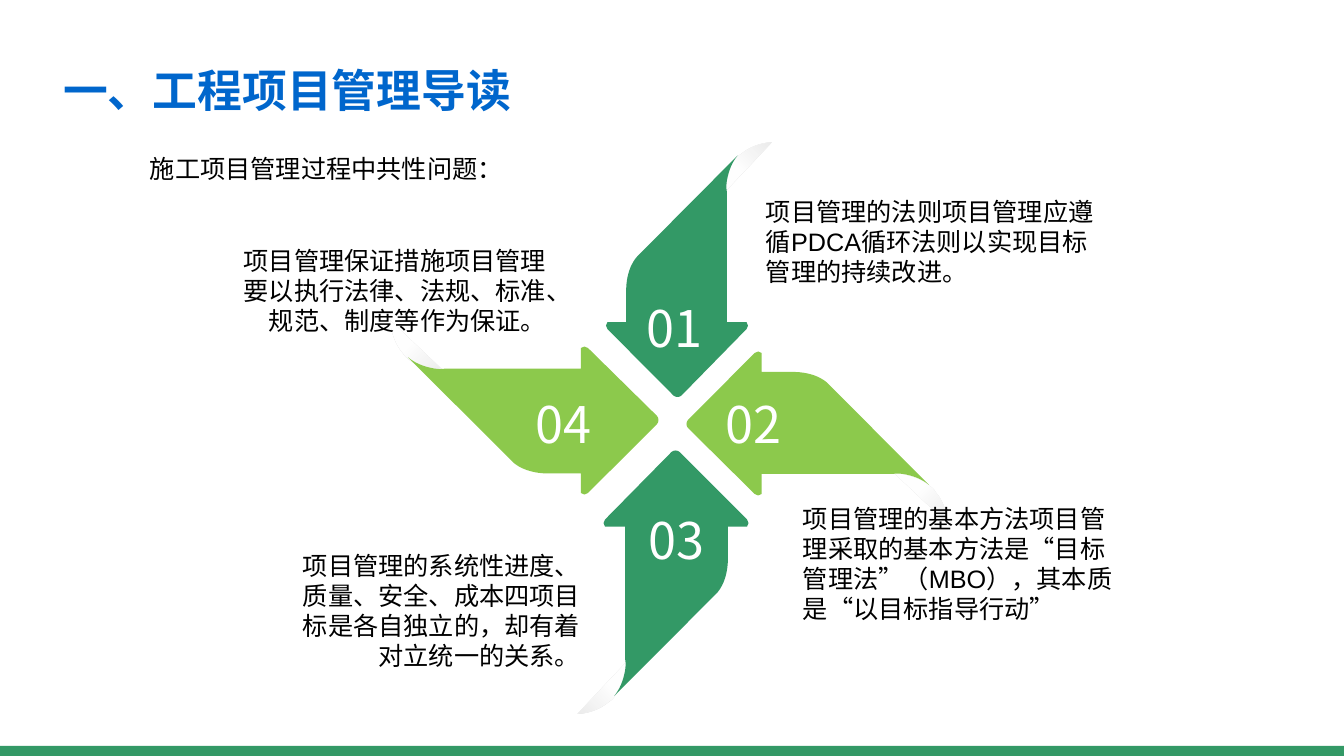
from lxml.etree import SubElement
from pptx import Presentation
from pptx.dml.color import RGBColor
from pptx.enum.shapes import MSO_SHAPE
from pptx.enum.text import MSO_ANCHOR, MSO_AUTO_SIZE, PP_ALIGN
from pptx.oxml.ns import qn
from pptx.util import Emu, Pt

PX = 914400 / 100.8
GREEN = RGBColor(0x33, 0x99, 0x66)
LIME = RGBColor(0x8C, 0xC9, 0x4C)
BLUE = RGBColor(0x00, 0x66, 0xCC)
BLACK = RGBColor(0, 0, 0)
WHITE = RGBColor(0xFF, 0xFF, 0xFF)
GREY = RGBColor(0xB0, 0xB0, 0xB0)
NOTO = "Noto Sans CJK SC"


def write(box, text, size=18, font="Arial", color=BLACK, bold=False,
          align=PP_ALIGN.LEFT, wrap=True):
    frame = box.text_frame
    frame.word_wrap = wrap
    frame.auto_size = MSO_AUTO_SIZE.SHAPE_TO_FIT_TEXT
    frame.vertical_anchor = MSO_ANCHOR.TOP
    para = frame.paragraphs[0]
    para.alignment = align
    span = para.add_run()
    span.text = text
    span.font.size = Pt(size)
    span.font.name = font
    span.font.bold = bold
    span.font.color.rgb = color
    if font == NOTO:
        SubElement(span.font._element, qn("a:ea"), typeface=font)


def draw_outline(page, outline, frame, size, turned, rotation):
    """One point is a straight step, three points are a cubic curve."""
    points = [point for step in outline for point in step]
    if turned:
        points = [(size[0] - x, size[1] - y) for x, y in points]
    builder = page.shapes.build_freeform(*points[0], scale=PX)
    builder.add_line_segments(points[1:], close=True)
    shape = builder.convert_to_shape()
    lines = iter(list(shape._element.iter(qn("a:lnTo"))))
    for step in outline[1:]:
        first, *others = [next(lines) for _ in step]
        if others:
            first.tag = qn("a:cubicBezTo")
            for line in others:
                first.append(line[0])
                line.getparent().remove(line)
    shape.left, shape.top, shape.width, shape.height = [Emu(round(v * PX)) for v in frame]
    shape.rotation = rotation
    shape.shadow.inherit = False
    shape.line.fill.background()
    return shape


deck = Presentation()
deck.slide_width = Emu(round(1344 * PX))
deck.slide_height = Emu(round(756 * PX))
page = deck.slides.add_slide(deck.slide_layouts[5])

# Left-pointing arrow and its folded tail, in px
ARROW_SIZE = (244, 145)
ARROW = [
    [(69, 2)], [(2, 69)], [(0, 71), (0, 75), (2, 77)],
    [(69, 143)], [(71, 145), (74, 145), (76, 143)],
    [(76, 123)], [(208, 123)], [(208, 123), (212, 122), (218, 123)],
    [(230, 125), (238, 129), (244, 134)],
    [(143, 33)], [(143, 33), (132, 20), (104, 21)],
    [(76, 21)], [(76, 2)], [(74, 0), (71, 0), (69, 2)],
]
FOLD_SIZE = (52, 49)
FOLD = [
    [(0, 0)], [(52, 49)], [(52, 49), (52, 32), (40, 18)],
    [(39, 16), (37, 14), (34, 12)], [(28, 7), (19, 3), (8, 1)],
    [(6, 0), (3, 0), (0, 0)],
]

# Pinwheel: colour, half turn, rotation, arrow frame, fold frame
blades = [
    (LIME, True, 0, (408, 346, 251, 149), (391, 321, 54, 51)),
    (LIME, False, 0, (686, 351, 243, 145), (895, 474, 52, 49)),
    (GREEN, False, 270, (556, 205, 242, 143), (721, 144, 52, 49)),
    (GREEN, False, 90, (553, 500, 246, 146), (576, 662, 53, 50)),
]
for color, turned, rotation, arrow_frame, fold_frame in blades:
    fold = draw_outline(page, FOLD, fold_frame, FOLD_SIZE, turned, rotation)
    fold.fill.gradient()
    fold.fill.gradient_angle = 135
    shades = ((GREY, 0, 24), (WHITE, 0.59, 27))
    for stop, (shade, position, opacity) in zip(fold.fill.gradient_stops, shades):
        stop.color.rgb = shade
        stop.position = position
        for rgb in fold._element.iter(qn("a:srgbClr")):
            if rgb.get("val") == str(shade):
                SubElement(rgb, qn("a:alpha"), val=str(opacity * 1000))
    arrow = draw_outline(page, ARROW, arrow_frame, ARROW_SIZE, turned, rotation)
    arrow.fill.solid()
    arrow.fill.fore_color.rgb = color

# Numbers, explanations and lead-in
number = dict(size=36, font=NOTO, color=WHITE, wrap=False)
right = dict(align=PP_ALIGN.RIGHT)
texts = [
    ("01", (637, 292, 80, 72), number),
    ("03", (639, 504, 80, 72), number),
    ("04", (526, 388, 80, 72), number),
    ("02", (716, 388, 80, 72), number),
    ("项目管理的法则项目管理应遵循PDCA循环法则以实现目标管理的持续改进。",
     (756, 191, 365, 102), {}),
    ("项目管理的基本方法项目管理采取的基本方法是“目标管理法”（MBO），其本质是“以目标指导行动”",
     (793, 498, 343, 132), {}),
    ("项目管理的系统性进度、质量、安全、成本四项目标是各自独立的，却有着对立统一的关系。",
     (279, 545, 311, 132), right),
    ("项目管理保证措施项目管理要以执行法律、法规、标准、规范、制度等作为保证。",
     (225, 240, 331, 102), right),
    ("施工项目管理过程中共性问题：", (140, 148, 373, 40), dict(wrap=False)),
]
for text, frame, style in texts:
    box = page.shapes.add_textbox(*[Emu(round(v * PX)) for v in frame])
    write(box, text, **style)

# Footer band
band = page.shapes.add_shape(MSO_SHAPE.RECTANGLE,
                             *[Emu(round(v * PX)) for v in (0, 746, 1344, 10)])
band.shadow.inherit = False
band.fill.solid()
band.fill.fore_color.rgb = GREEN
band.line.fill.background()

# Title
title = page.shapes.title
title.left, title.top, title.width, title.height = [
    Emu(round(v * PX)) for v in (53, 58, 472, 65)]
write(title, "一、工程项目管理导读", size=32, font=NOTO, color=BLUE, bold=True)

deck.save("out.pptx")
